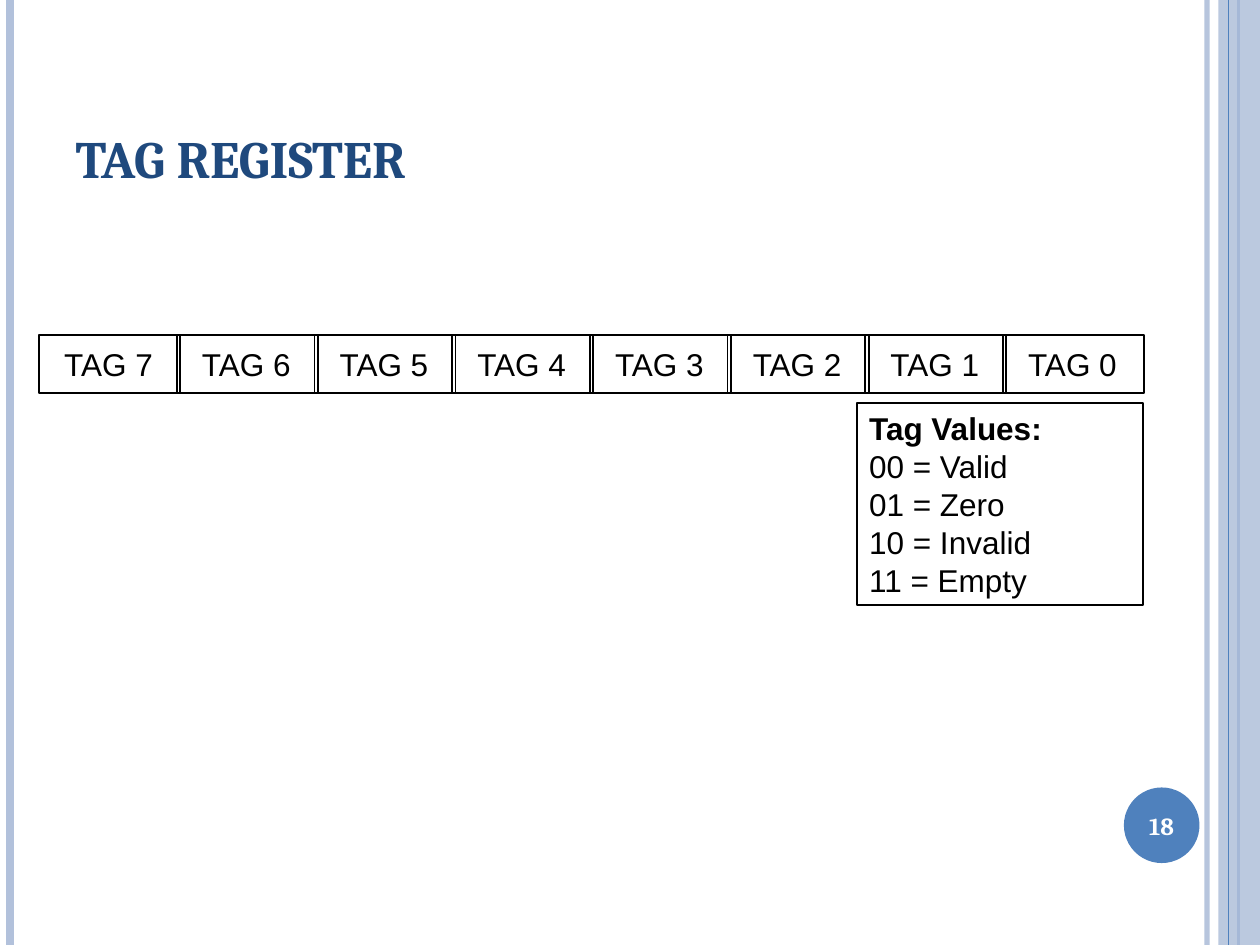
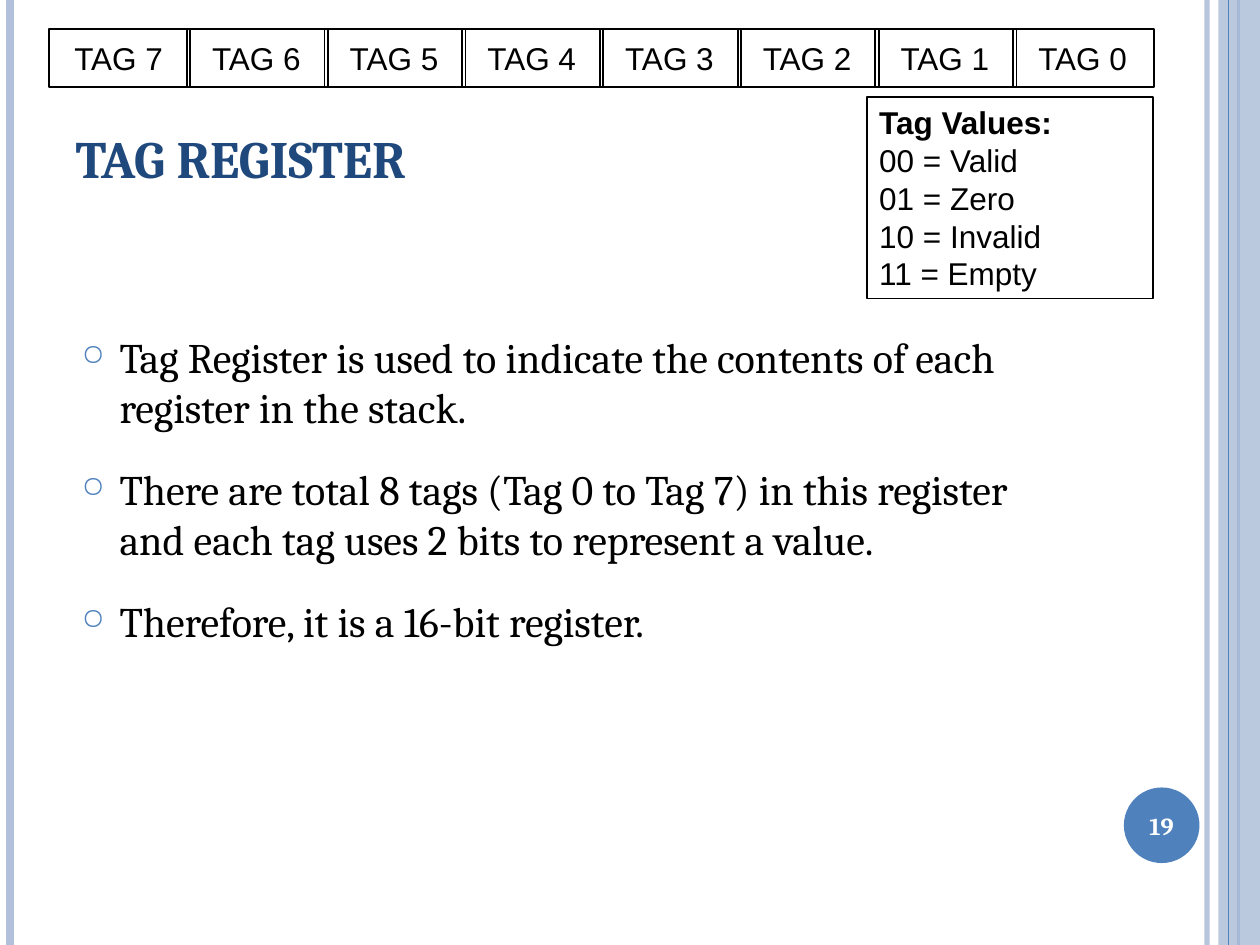
from dataclasses import dataclass

from lxml import etree
from pptx import Presentation
from pptx.dml.color import RGBColor
from pptx.enum import shapes, text
from pptx.oxml.ns import qn
from pptx.util import Inches, Pt


@dataclass(frozen=True)
class Theme:
    heading: str = "Cambria"
    diagram: str = "Arial"
    navy: str = "1F497D"
    blue: str = "4F81BD"
    pale: str = "B2C1DB"
    black: str = "000000"
    white: str = "FFFFFF"
    title_size: int = 30
    body_size: int = 24
    diagram_size: int = 18
    number_size: int = 14


THEME = Theme()
WIDTH, HEIGHT = 10, 7.5
TITLE_BOX = (0.5, 0.3, 8.17, 1.25)
BODY_BOX = (0.55, 2.58, 8.12, 4.5)
BADGE_BOX = (8.92, 6.25, 0.6, 0.6)

TAG_COUNT = 8
TAG_VALUES = ["00 = Valid", "01 = Zero", "10 = Invalid", "11 = Empty"]
TAG_FACTS = [
    "Tag Register is used to indicate the contents of each register in the stack.",
    "There are total 8 tags (Tag 0 to Tag 7) in this register and each tag uses "
    "2 bits to represent a value.",
    "Therefore, it is a 16-bit register.",
]


def inches(box):
    return [Inches(v) for v in box]


def write(p, words, font=THEME.diagram, size=THEME.diagram_size,
          color=THEME.black, bold=False, align=text.PP_ALIGN.LEFT):
    """Put one formatted run into a paragraph."""
    p.alignment = align
    r = p.add_run()
    r.text = words
    r.font.name, r.font.size, r.font.bold = font, Pt(size), bold
    r.font.color.rgb = RGBColor.from_string(color)


def set_alpha(fill_parent, percent):
    color = next(fill_parent.iter(qn("a:srgbClr")))
    etree.SubElement(color, qn("a:alpha"), val=str(percent * 1000))


def set_bullet(p, char, color, percent, indent):
    pPr = p._p.get_or_add_pPr()
    pPr.set("marL", str(Inches(indent)))
    pPr.set("indent", str(-Inches(indent)))
    bullet_color = etree.SubElement(pPr, qn("a:buClr"))
    etree.SubElement(bullet_color, qn("a:srgbClr"), val=color)
    etree.SubElement(pPr, qn("a:buSzPct"), val=str(percent * 1000))
    etree.SubElement(pPr, qn("a:buChar"), char=char)


def add_box(parent, box, kind=shapes.MSO_SHAPE.RECTANGLE, fill=None, line=None):
    sp = parent.add_shape(kind, *inches(box))
    sp.shadow.inherit = False
    if fill:
        sp.fill.solid()
        sp.fill.fore_color.rgb = RGBColor.from_string(fill)
    else:
        sp.fill.background()
    if line:
        sp.line.color.rgb = RGBColor.from_string(line)
        sp.line.width = Pt(1)
    else:
        sp.line.fill.background()
    return sp


def add_rule(slide, x, color, width, alpha=None):
    """Draw a vertical line over the full slide height."""
    line = slide.shapes.add_connector(
        shapes.MSO_CONNECTOR.STRAIGHT, *inches((x, 0, x, HEIGHT)))
    line.line.color.rgb = RGBColor.from_string(color)
    line.line.width = Pt(width)
    if alpha:
        set_alpha(line._element.spPr, alpha)
    etree.SubElement(line._element.spPr, qn("a:effectLst"))


def add_frame(slide, number):
    # Side bands
    add_rule(slide, 9.58, THEME.pale, 3, alpha=93)
    add_rule(slide, 0.08, THEME.pale, 4.5)
    add_rule(slide, 9.83, THEME.blue, 1.5)
    band = add_box(slide.shapes, (9.67, 0, WIDTH - 9.67, HEIGHT), fill=THEME.pale)
    set_alpha(band._element.spPr, 87)
    add_rule(slide, 9.75, THEME.blue, 0.75)

    # Slide number badge
    badge = add_box(slide.shapes, BADGE_BOX, shapes.MSO_SHAPE.OVAL, fill=THEME.blue)
    tf = badge.text_frame
    tf.margin_left = tf.margin_right = 0
    tf.vertical_anchor = text.MSO_ANCHOR.MIDDLE
    write(tf.paragraphs[0], str(number), THEME.heading, THEME.number_size,
          THEME.white, bold=True, align=text.PP_ALIGN.CENTER)


def set_title(slide, words, box):
    title = slide.shapes.title
    title.left, title.top, title.width, title.height = inches(box)
    tf = title.text_frame
    tf.auto_size = text.MSO_AUTO_SIZE.NONE
    tf.vertical_anchor = text.MSO_ANCHOR.BOTTOM
    write(tf.paragraphs[0], words, THEME.heading, THEME.title_size,
          THEME.navy, bold=True)


def add_register(slide, left, top):
    """Draw the row of tags with the list of tag values under its right end."""
    group = slide.shapes.add_group_shape().shapes
    row_width, cell_width, cell_height = 8.77, 1.12, 0.46
    pitch = (row_width - cell_width) / (TAG_COUNT - 1)

    # Tag values
    values = add_box(group, (left + 6.49, top + 0.54, 2.27, 1.6), line=THEME.black)
    tf = values.text_frame
    tf.word_wrap = True
    tf.vertical_anchor = text.MSO_ANCHOR.TOP
    write(tf.paragraphs[0], "Tag Values:", bold=True)
    for value in TAG_VALUES:
        write(tf.add_paragraph(), value)

    # Tags, highest first
    for i in range(TAG_COUNT):
        cell = add_box(group, (left + i * pitch, top, cell_width, cell_height),
                       line=THEME.black)
        tf = cell.text_frame
        tf.word_wrap = False
        tf.auto_size = text.MSO_AUTO_SIZE.SHAPE_TO_FIT_TEXT
        tf.vertical_anchor = text.MSO_ANCHOR.TOP
        tf.margin_left = tf.margin_right = Inches(0.2)
        tf.margin_top = tf.margin_bottom = Inches(0.08)
        write(tf.paragraphs[0], f"TAG {TAG_COUNT - 1 - i}")


def add_bullets(slide, items, box):
    tf = slide.shapes.add_textbox(*inches(box)).text_frame
    tf.word_wrap = True
    for i, item in enumerate(items):
        p = tf.add_paragraph() if i else tf.paragraphs[0]
        p.space_before, p.space_after = Pt(6), Pt(12)
        set_bullet(p, "○", THEME.blue, 70, 0.3)
        write(p, item, THEME.heading, THEME.body_size)


def add_register_slide(prs, number, register_at, facts=()):
    slide = prs.slides.add_slide(prs.slide_layouts.get_by_name("Title Only"))
    add_frame(slide, number)
    set_title(slide, "TAG REGISTER", TITLE_BOX)
    if facts:
        add_bullets(slide, facts, BODY_BOX)
    add_register(slide, *register_at)


def main():
    prs = Presentation()
    prs.slide_width, prs.slide_height = Inches(WIDTH), Inches(HEIGHT)
    add_register_slide(prs, 18, (0.31, 2.66))
    add_register_slide(prs, 19, (0.39, 0.23), TAG_FACTS)
    prs.save("out.pptx")


if __name__ == "__main__":
    main()
